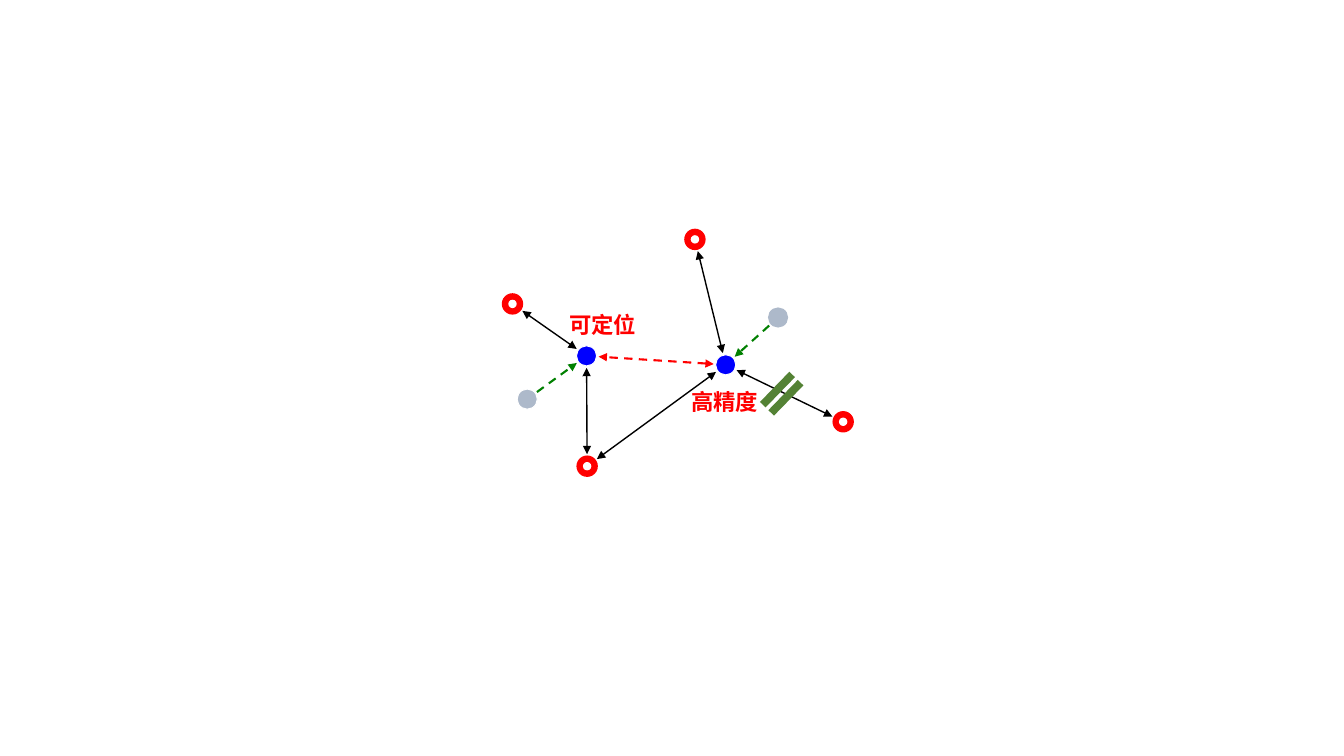
import math

from lxml import etree
from pptx import Presentation
from pptx import util as u
from pptx.dml.color import RGBColor
from pptx.enum import dml, shapes, text
from pptx.oxml import ns

FONT = "Noto Sans CJK SC"
COLORS = {"red": "FF0000", "blue": "0000FF", "grey": "ADB9CA", "green": "008000",
          "olive": "548235", "black": "000000", "white": "FFFFFF"}
RING, HOLE, DOT = 15.3, 6, 14.4
LINK_GAP = 8.6  # distance from a node's centre to the end of a link

# Node centres, in points
ANCHORS = {"east": (602.3, 301.3), "west": (366.1, 217.1),
           "south": (419.4, 333), "north": (496.4, 171)}
TARGETS = {"left": (419, 254.2), "right": (518.4, 260.6)}
ESTIMATES = {"left guess": (376.6, 285.1), "right guess": (555.8, 226.8)}
NODES = {**ANCHORS, **TARGETS, **ESTIMATES}
RANGES = [("right", "south"), ("east", "right"), ("north", "right"),
          ("west", "left"), ("left", "south")]


def rgb(color):
    """Look up a named colour."""
    return RGBColor.from_string(COLORS[color])


def add_shape(slide, kind, center, width, height, fill, outline=None):
    """Add a filled preset shape around its centre."""
    x, y = center
    shape = slide.shapes.add_shape(kind, u.Pt(x - width / 2), u.Pt(y - height / 2),
                                   u.Pt(width), u.Pt(height))
    shape.shadow.inherit = False
    shape.fill.solid()
    shape.fill.fore_color.rgb = rgb(fill)
    if outline:
        shape.line.color.rgb = rgb(outline)
        shape.line.width = u.Pt(0.75)
    else:
        shape.line.fill.background()
    return shape


def add_dot(slide, center, size, fill, outline=None):
    """Add a round node."""
    return add_shape(slide, shapes.MSO_SHAPE.OVAL, center, size, size, fill, outline)


def add_link(slide, start, end, color="black", width=1, dashed=False, both=True):
    """Add an arrow between two named nodes, stopping short of each."""
    (x1, y1), (x2, y2) = NODES[start], NODES[end]
    share = LINK_GAP / math.dist(NODES[start], NODES[end])
    dx, dy = (x2 - x1) * share, (y2 - y1) * share
    link = slide.shapes.add_connector(
        shapes.MSO_CONNECTOR.STRAIGHT, u.Pt(x1 + dx), u.Pt(y1 + dy),
        u.Pt(x2 - dx), u.Pt(y2 - dy))
    link.line.color.rgb = rgb(color)
    link.line.width = u.Pt(width)
    if dashed:
        link.line.dash_style = dml.MSO_LINE.DASH
    line = link.line._get_or_add_ln()
    for tag in ("a:headEnd", "a:tailEnd") if both else ("a:tailEnd",):
        etree.SubElement(line, ns.qn(tag), type="triangle")
    etree.SubElement(link._element.spPr, ns.qn("a:effectLst"))


def add_text(slide, content, left, top, width, height, size=16, color="red", bold=True):
    """Add a one-line label."""
    box = slide.shapes.add_textbox(u.Pt(left), u.Pt(top), u.Pt(width), u.Pt(height))
    frame = box.text_frame
    frame.word_wrap = False
    frame.auto_size = text.MSO_AUTO_SIZE.SHAPE_TO_FIT_TEXT
    run = frame.paragraphs[0].add_run()
    run.text = content
    run.font.name = FONT
    run.font.size = u.Pt(size)
    run.font.bold = bold
    run.font.color.rgb = rgb(color)
    etree.SubElement(run.font._element, ns.qn("a:ea"), typeface=FONT)


def main():
    """Draw the positioning network and save it."""
    presentation = Presentation()
    presentation.slide_width, presentation.slide_height = u.Pt(960), u.Pt(540)
    slide = presentation.slides.add_slide(presentation.slide_layouts[6])

    for center in ANCHORS.values():
        add_dot(slide, center, RING, "red")
        add_dot(slide, center, HOLE, "white")
    for center in TARGETS.values():
        add_dot(slide, center, DOT, "blue", "white")
    add_dot(slide, ESTIMATES["left guess"], DOT, "grey", "white")
    add_dot(slide, ESTIMATES["right guess"], DOT, "grey")

    for side in TARGETS:
        add_link(slide, f"{side} guess", side, "green", 1.5, dashed=True, both=False)
    add_link(slide, "right", "left", "red", 1.5, dashed=True)
    for start, end in RANGES:
        add_link(slide, start, end)

    break_mark = add_shape(slide, shapes.MSO_SHAPE.MATH_EQUAL, (558.4, 281.2),
                           41, 23.8, "olive")
    break_mark.rotation = 314.2
    add_text(slide, "高精度", 486.7, 273.6, 63.7, 26.6)
    add_text(slide, "可定位", 399.6, 218.9, 63.7, 26.6)
    presentation.save("out.pptx")


main()
